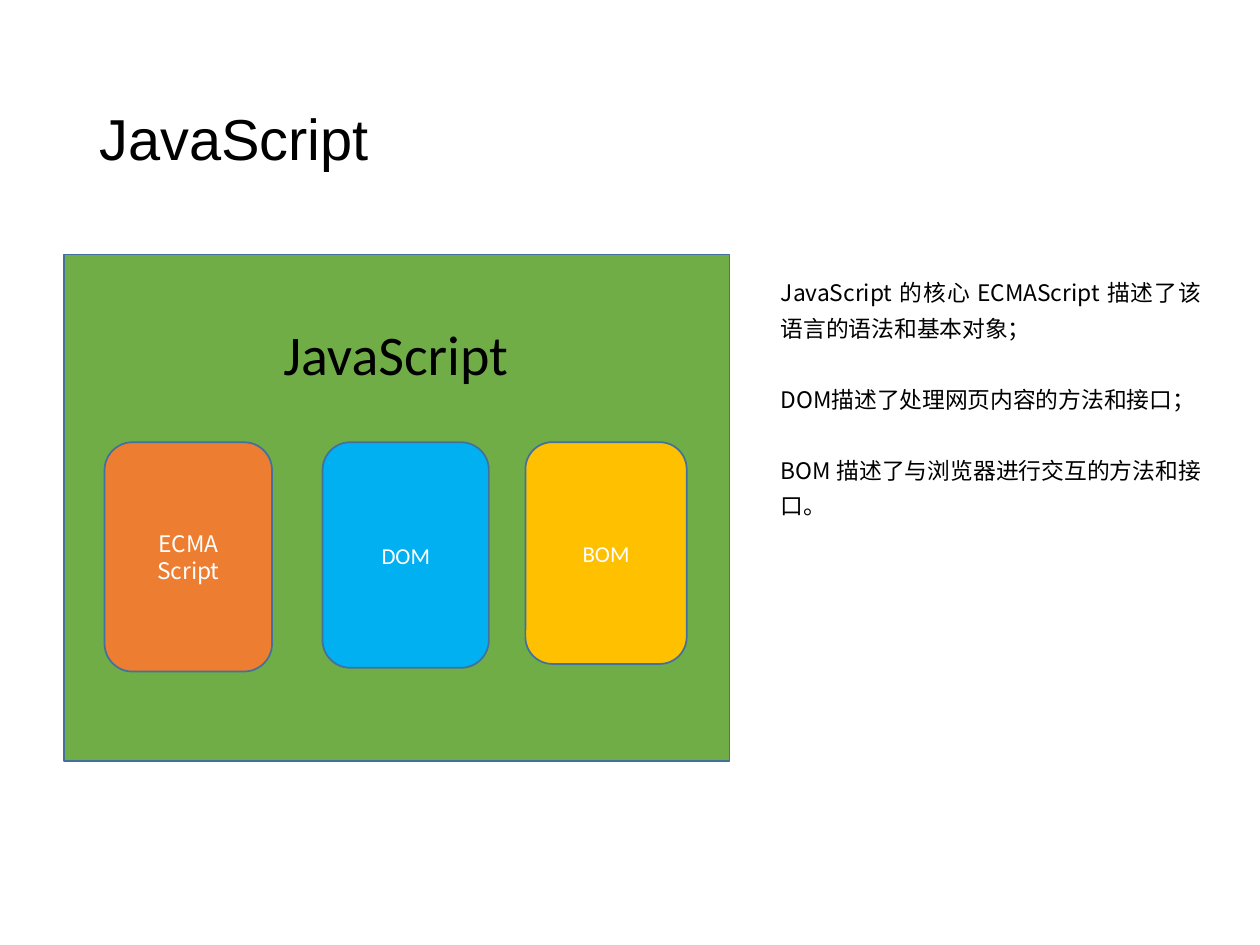
"""Build a slide on the three parts of JavaScript."""
from dataclasses import dataclass

import lxml.etree
import pptx
import pptx.dml.color
import pptx.enum.shapes
import pptx.enum.text
import pptx.oxml.ns
import pptx.util

Inches = pptx.util.Inches
Pt = pptx.util.Pt
Align = pptx.enum.text.PP_ALIGN
Anchor = pptx.enum.text.MSO_ANCHOR
Preset = pptx.enum.shapes.MSO_SHAPE


@dataclass(frozen=True)
class Theme:
    """Hold the colours, fonts and sizes of the slide."""
    ink: str = "000000"
    paper: str = "FFFFFF"
    outline: str = "41719C"
    frame: str = "70AD47"
    ecma: str = "ED7D31"
    dom: str = "00B0F0"
    bom: str = "FFC000"
    title_font: str = "Arial"
    label_font: str = "Calibri"
    body_font: str = "Noto Sans CJK SC"
    title_size: int = 33
    heading_size: int = 32
    body_size: int = 13


THEME = Theme()


def rgb(value):
    """Return a colour from its hex value."""
    return pptx.dml.color.RGBColor.from_string(value)


def write(box, lines, font, size, color, anchor=Anchor.TOP, wrap=True, **layout):
    """Write one paragraph for each line in the box."""
    frame = box.text_frame
    for name, value in {"word_wrap": wrap, "vertical_anchor": anchor}.items():
        setattr(frame, name, value)
    for index, line in enumerate(lines):
        para = frame.add_paragraph() if index else frame.paragraphs[0]
        for name, value in layout.items():
            if index or name != "space_before":
                setattr(para, name, value)
        span = para.add_run()
        span.text = line
        for name, value in {"name": font, "size": Pt(size), "bold": False}.items():
            setattr(span.font, name, value)
        span.font.color.rgb = rgb(color)
        east_asian = lxml.etree.SubElement(
            span._r.get_or_add_rPr(), pptx.oxml.ns.qn("a:ea"))
        east_asian.set("typeface", font)


def add_text(page, box, *args, **layout):
    """Add a text box with its lines."""
    area = page.shapes.add_textbox(*map(Inches, box))
    write(area, *args, **layout)


def add_block(page, preset, box, fill):
    """Add a filled and outlined block."""
    block = page.shapes.add_shape(preset, *map(Inches, box))
    block.shadow.inherit = False
    block.fill.solid()
    block.fill.fore_color.rgb = rgb(fill)
    block.line.color.rgb = rgb(THEME.outline)
    block.line.width = Pt(1)
    return block


def add_title(page, box):
    """Add the slide title."""
    add_text(page, box, ["JavaScript"], THEME.title_font, THEME.title_size,
             THEME.ink, anchor=Anchor.MIDDLE, line_spacing=0.9)


def add_diagram(page, box):
    """Add the language frame with its three parts."""
    left, top, width, height = box
    add_block(page, Preset.RECTANGLE, box, THEME.frame)
    add_text(page, (left + 1.64, top + 0.47, 2, 0.64), ["JavaScript"],
             THEME.label_font, THEME.heading_size, THEME.ink, wrap=False)
    parts = [
        (0.32, 1.33, 1.82, THEME.ecma, THEME.body_font, ["ECMA", "Script"]),
        (2.05, 1.32, 1.79, THEME.dom, THEME.label_font, ["DOM"]),
        (3.66, 1.28, 1.76, THEME.bom, THEME.label_font, ["BOM"]),
    ]
    for offset, part_width, part_height, fill, font, lines in parts:
        part = add_block(page, Preset.ROUNDED_RECTANGLE,
                         (left + offset, top + 1.49, part_width, part_height), fill)
        write(part, lines, font, THEME.body_size, THEME.paper,
              anchor=Anchor.MIDDLE, alignment=Align.CENTER)


def add_description(page, box):
    """Add the explanation of each part."""
    lines = [
        "JavaScript 的核心 ECMAScript 描述了该语言的语法和基本对象；",
        "DOM描述了处理网页内容的方法和接口；",
        "BOM 描述了与浏览器进行交互的方法和接口。",
    ]
    add_text(page, box, lines, THEME.body_font, THEME.body_size, THEME.ink,
             alignment=Align.JUSTIFY, line_spacing=1.3, space_before=Pt(20.3))


def main():
    """Build and save the deck."""
    deck = pptx.Presentation()
    deck.slide_width, deck.slide_height = Inches(10), Inches(7.5)
    page = deck.slides.add_slide(deck.slide_layouts[6])
    add_title(page, (0.69, 0.4, 8.63, 1.45))
    add_description(page, (6.1, 2.1, 3.53, 3.94))
    add_diagram(page, (0.51, 2.02, 5.28, 4.02))
    deck.save("out.pptx")


if __name__ == "__main__":
    main()
